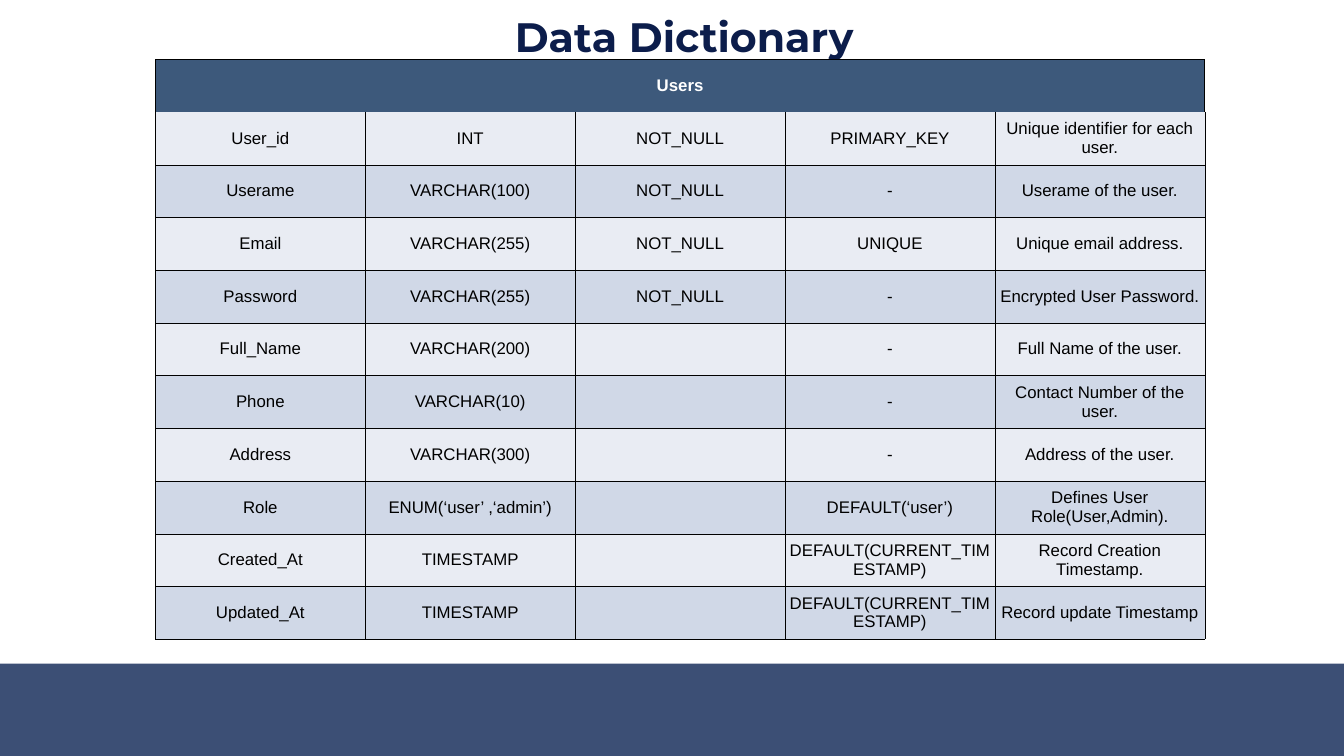
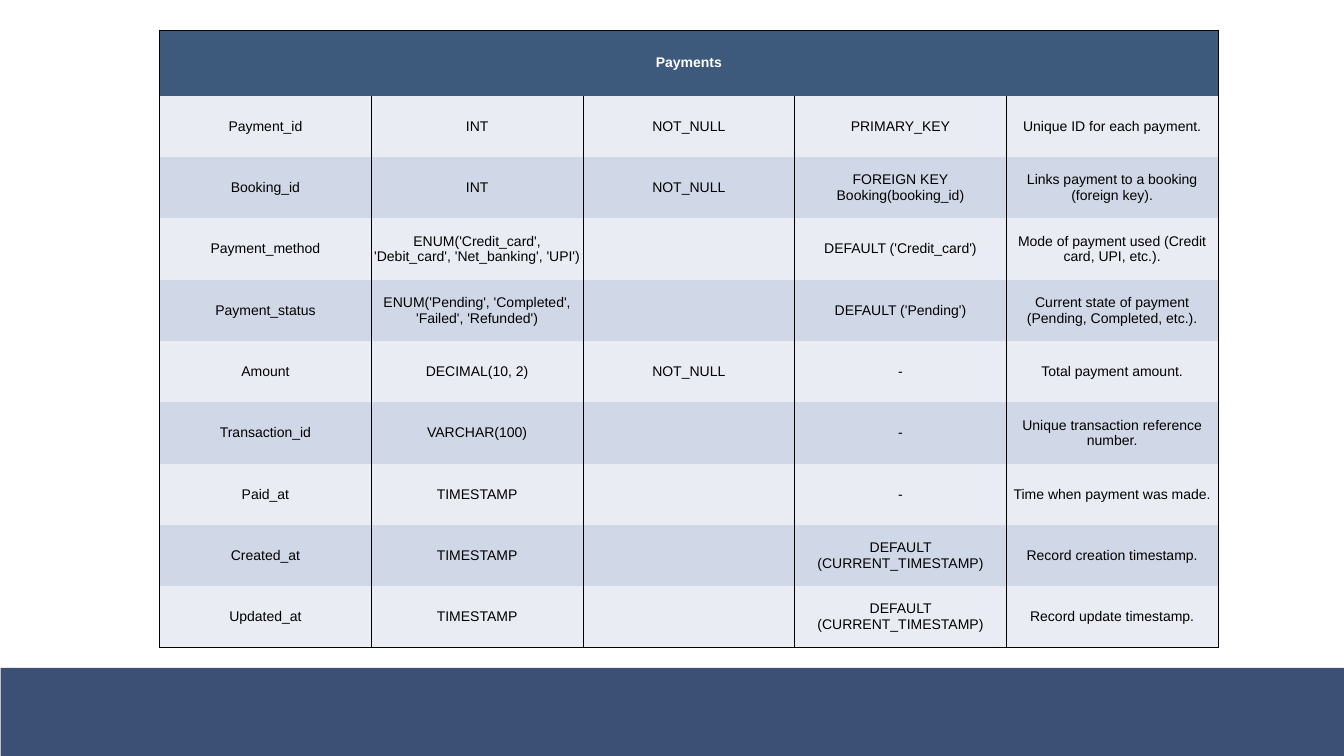
from pptx import Presentation
from pptx.dml.color import RGBColor
from pptx.enum.shapes import MSO_SHAPE as Shape
from pptx.enum.text import MSO_ANCHOR as Anchor, MSO_AUTO_SIZE as AutoSize, PP_ALIGN as Align
from pptx.oxml import parse_xml
from pptx.oxml.ns import nsdecls
from pptx.util import Pt

PX = 9525  # EMU in one px, 96 px to the inch
PAGE_WIDTH, PAGE_HEIGHT = 1920, 1080
COLUMN_COUNT = 5
PLAIN_STYLE = "{2D5ABB26-0587-4C30-8999-92F81FD0307C}"

COLORS = {
    "title": "0C1D4B",
    "band": "3C4F75",
    "header": "3D597B",
    "header_text": "FFFFFF",
    "rows": ("E9ECF3", "D0D8E7"),
    "ink": "000000",
}

USERS = [
    ("User_id", "INT", "NOT_NULL", "PRIMARY_KEY", "Unique identifier for each user."),
    ("Userame", "VARCHAR(100)", "NOT_NULL", "-", "Userame of the user."),
    ("Email", "VARCHAR(255)", "NOT_NULL", "UNIQUE", "Unique email address."),
    ("Password", "VARCHAR(255)", "NOT_NULL", "-", "Encrypted User Password."),
    ("Full_Name", "VARCHAR(200)", "", "-", "Full Name of the user."),
    ("Phone", "VARCHAR(10)", "", "-", "Contact Number of the user."),
    ("Address", "VARCHAR(300)", "", "-", "Address of the user."),
    ("Role", "ENUM(‘user’ ,‘admin’)", "", "DEFAULT(‘user’)", "Defines User Role(User,Admin)."),
    ("Created_At", "TIMESTAMP", "", "DEFAULT(CURRENT_TIMESTAMP)", "Record Creation Timestamp."),
    ("Updated_At", "TIMESTAMP", "", "DEFAULT(CURRENT_TIMESTAMP)", "Record update Timestamp"),
]

PAYMENTS = [
    ("Payment_id", "INT", "NOT_NULL", "PRIMARY_KEY", "Unique ID for each payment."),
    ("Booking_id", "INT", "NOT_NULL", "FOREIGN KEY\nBooking(booking_id)",
     "Links payment to a booking (foreign key)."),
    ("Payment_method", "ENUM('Credit_card', 'Debit_card', 'Net_banking', 'UPI')", "",
     "DEFAULT ('Credit_card')", "Mode of payment used (Credit card, UPI, etc.)."),
    ("Payment_status", "ENUM('Pending', 'Completed', 'Failed', 'Refunded')", "",
     "DEFAULT ('Pending')", "Current state of payment (Pending, Completed, etc.)."),
    ("Amount", "DECIMAL(10, 2)", "NOT_NULL", "-", "Total payment amount."),
    ("Transaction_id", "VARCHAR(100)", "", "-", "Unique transaction reference number."),
    ("Paid_at", "TIMESTAMP", "", "-", "Time when payment was made."),
    ("Created_at", "TIMESTAMP", "", "DEFAULT (CURRENT_TIMESTAMP)", "Record creation timestamp."),
    ("Updated_at", "TIMESTAMP", "", "DEFAULT (CURRENT_TIMESTAMP)", "Record update timestamp."),
]

PAGES = [
    {"title": "Data Dictionary", "band": (0, 948), "name": "Users", "rows": USERS,
     "place": (222, 85, 1499, 828), "header_height": 75, "size": 18, "inset": 0,
     "rule": 0.06, "header_rule": 0.96, "row_rules": True},
    {"title": None, "band": (1, 954), "name": "Payments", "rows": PAYMENTS,
     "place": (228, 43, 1512, 882), "header_height": 94, "size": 15, "inset": 4,
     "rule": 0.57, "header_rule": 0.57, "row_rules": False},
]


def px(*lengths):
    return [round(length * PX) for length in lengths]


def write(frame, text, *, size, color, font="Arial", bold=False, align=Align.CENTER):
    frame.text = text
    for para in frame.paragraphs:
        para.alignment = align
        para.font.size = Pt(size)
        for span in para.runs:
            span.font.name = font
            span.font.size = Pt(size)
            span.font.bold = bold
            span.font.color.rgb = RGBColor.from_string(color)


def add_title(page, text):
    box = page.shapes.add_textbox(*px(726, 11, 582, 81))
    box.text_frame.word_wrap = True
    box.text_frame.auto_size = AutoSize.SHAPE_TO_FIT_TEXT
    write(box.text_frame, text, size=44, color=COLORS["title"], font="Montserrat",
          bold=True, align=Align.LEFT)


def add_band(page, left, top):
    band = page.shapes.add_shape(Shape.RECTANGLE, *px(left, top, PAGE_WIDTH, 132))
    band.shadow.inherit = False
    band.fill.solid()
    band.fill.fore_color.rgb = RGBColor.from_string(COLORS["band"])
    band.line.fill.background()


def style_cell(cell, fill, sides, rule, inset):
    """Rule the sides named by letters out of LRTB, then fill and inset the cell."""
    properties = cell._tc.get_or_add_tcPr()
    for side in "LRTB":
        ink = (f'<a:solidFill><a:srgbClr val="{COLORS["ink"]}"/></a:solidFill>'
               if side in sides else "<a:noFill/>")
        properties.append(parse_xml(
            f'<a:ln{side} {nsdecls("a")} w="{Pt(rule)}">{ink}</a:ln{side}>'))
    cell.fill.solid()
    cell.fill.fore_color.rgb = RGBColor.from_string(fill)
    cell.vertical_anchor = Anchor.MIDDLE
    cell.margin_left = cell.margin_right = cell.margin_top = cell.margin_bottom = inset * PX


def add_dictionary(page, name, rows, place, header_height, size, inset,
                   rule, header_rule, row_rules):
    width, height = place[2:]
    row_height = (height - header_height) / len(rows)
    table = page.shapes.add_table(len(rows) + 1, COLUMN_COUNT, *px(*place)).table
    table._tbl.tblPr.find("{*}tableStyleId").text = PLAIN_STYLE
    for column in table.columns:
        column.width = round(width * PX / COLUMN_COUNT)
    for number, row in enumerate(table.rows):
        row.height = round((row_height if number else header_height) * PX)

    for cell in table.rows[0].cells:
        style_cell(cell, COLORS["header"], "LRT", header_rule, inset)
    table.cell(0, 0).merge(table.cell(0, COLUMN_COUNT - 1))
    write(table.cell(0, 0).text_frame, name, size=size, color=COLORS["header_text"], bold=True)

    for number, texts in enumerate(rows, 1):
        sides = "LR"
        if row_rules and number > 1:
            sides += "T"
        if row_rules or number == len(rows):
            sides += "B"
        fill = COLORS["rows"][(number - 1) % 2]
        for cell, text in zip(table.rows[number].cells, texts):
            style_cell(cell, fill, sides, rule, inset)
            write(cell.text_frame, text, size=size, color=COLORS["ink"])


def main():
    deck = Presentation()
    deck.slide_width, deck.slide_height = px(PAGE_WIDTH, PAGE_HEIGHT)
    for content in PAGES:
        page = deck.slides.add_slide(deck.slide_layouts[6])
        table = dict(content)
        title, band = table.pop("title"), table.pop("band")
        if title:
            add_title(page, title)
        add_band(page, *band)
        add_dictionary(page, **table)
    deck.save("out.pptx")


if __name__ == "__main__":
    main()
